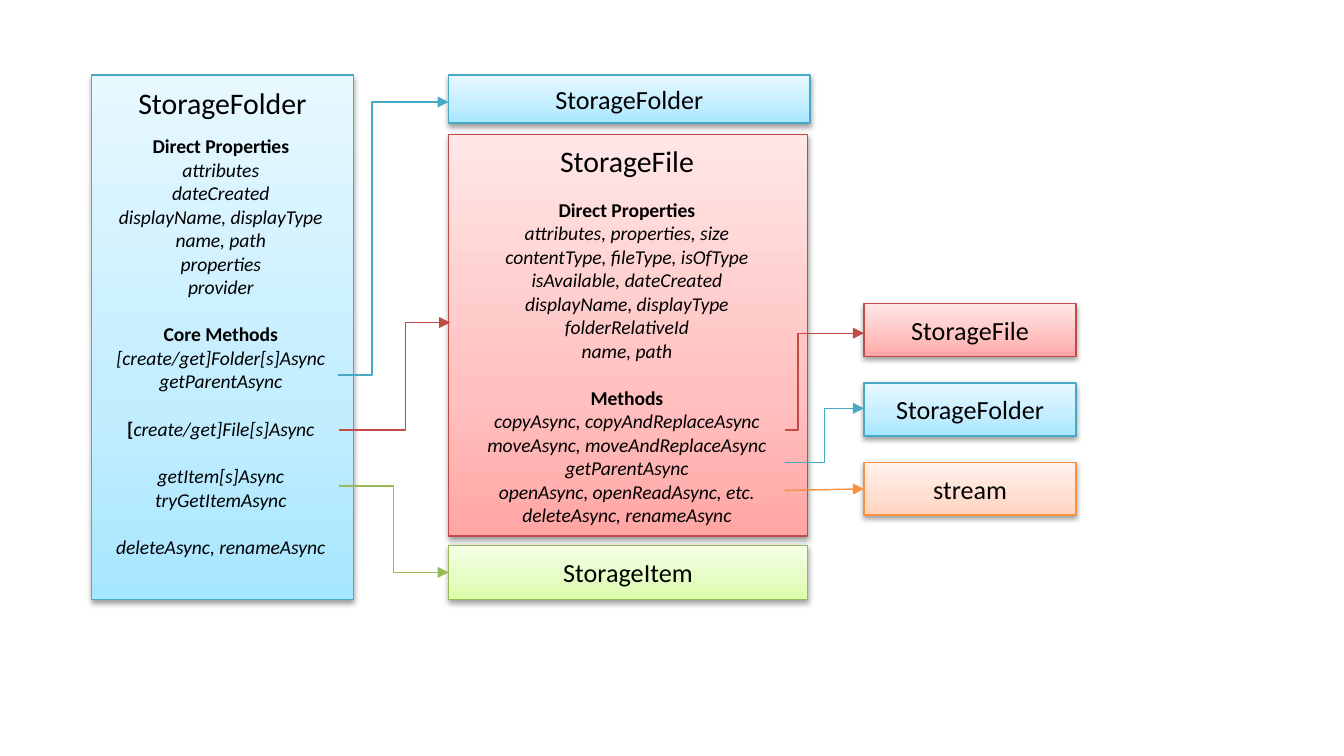
"""Build a slide that maps storage classes to the objects their methods return."""
from copy import deepcopy
from dataclasses import dataclass

from lxml import etree
from pptx import Presentation
from pptx import util as u
from pptx.dml import color
from pptx.enum import shapes, text
from pptx.oxml import ns


@dataclass(frozen=True)
class Palette:
    """Line colour and gradient colours from bottom to top."""
    line: str
    stops: tuple


@dataclass(frozen=True)
class Theme:
    """Colours, font and sizes used on the slide."""
    blue = Palette("46AAC5", ("A7E6FF", "C1EDFF", "E7F8FF"))
    red = Palette("BF4C48", ("FFA6A5", "FFC0BF", "FFE7E7"))
    green = Palette("98B955", ("DAFDA7", "E4FCC2", "F5FFE7"))
    orange = Palette("F69240", ("FFD2BD", "FFDED0", "FFF2ED"))
    ink = "000000"
    font = "Calibri"
    heading = 16
    label = 14
    body = 10.5
    gap = 12.8
    stroke = 0.75


@dataclass(frozen=True)
class Line:
    """One line of a listing: a bold lead, then italic text."""
    text: str = ""
    lead: str = ""
    gap: bool = False


THEME = Theme()

FOLDER_LINES = (
    Line(lead="Direct Properties"),
    Line("attributes"),
    Line("dateCreated"),
    Line("displayName, displayType"),
    Line("name, path"),
    Line("properties"),
    Line("provider"),
    Line(lead="Core Methods", gap=True),
    Line("[create/get]Folder[s]Async"),
    Line("getParentAsync"),
    Line("create/get]File[s]Async", lead="[", gap=True),
    Line("getItem[s]Async", gap=True),
    Line("tryGetItemAsync"),
    Line("deleteAsync, renameAsync", gap=True),
)

FILE_LINES = (
    Line(lead="Direct Properties"),
    Line("attributes, properties, size"),
    Line("contentType, fileType, isOfType"),
    Line("isAvailable, dateCreated"),
    Line("displayName, displayType"),
    Line("folderRelativeId"),
    Line("name, path"),
    Line(lead="Methods", gap=True),
    Line("copyAsync, copyAndReplaceAsync"),
    Line("moveAsync, moveAndReplaceAsync"),
    Line("getParentAsync"),
    Line("openAsync, openReadAsync, etc."),
    Line("deleteAsync, renameAsync"),
)


def format_run(run, size, bold=False, italic=False):
    """Apply the theme font to a run."""
    run.font.name = THEME.font
    run.font.size = u.Pt(size)
    run.font.bold = bold
    run.font.italic = italic
    run.font.color.rgb = color.RGBColor.from_string(THEME.ink)


def set_label(shape, label, size):
    """Write one centred line into a shape."""
    paragraph = shape.text_frame.paragraphs[0]
    paragraph.text = label
    paragraph.alignment = text.PP_ALIGN.CENTER
    format_run(paragraph.runs[0], size)


def style_line(line, palette):
    """Set line colour and width."""
    line.color.rgb = color.RGBColor.from_string(palette.line)
    line.width = u.Pt(THEME.stroke)


def fill_gradient(shape, palette):
    """Fill a shape with a three-stop vertical gradient."""
    shape.fill.gradient()
    shape.fill.gradient_angle = 90
    stop_list = shape._element.spPr.find(".//" + ns.qn("a:gsLst"))
    stop_list.insert(1, deepcopy(stop_list[0]))
    for stop, position, tone in zip(shape.fill.gradient_stops, (0, 0.35, 1), palette.stops):
        stop.position = position
        stop.color.rgb = color.RGBColor.from_string(tone)


def add_shadow(shape):
    """Give a shape a soft shadow below it."""
    shape.shadow.inherit = False
    effects = shape._element.spPr.find(ns.qn("a:effectLst"))
    shadow = etree.SubElement(effects, ns.qn("a:outerShdw"), blurRad=str(u.Pt(3.1)),
                              dist=str(u.Pt(1.6)), dir="5400000", rotWithShape="0")
    tone = etree.SubElement(shadow, ns.qn("a:srgbClr"), val=THEME.ink)
    etree.SubElement(tone, ns.qn("a:alpha"), val="38000")


def add_box(slide, palette, left, top, width, height, label=None):
    """Add a gradient rectangle with an optional label."""
    shape = slide.shapes.add_shape(shapes.MSO_SHAPE.RECTANGLE, u.Cm(left), u.Cm(top),
                                   u.Cm(width), u.Cm(height))
    fill_gradient(shape, palette)
    style_line(shape.line, palette)
    add_shadow(shape)
    if label:
        shape.text_frame.vertical_anchor = text.MSO_ANCHOR.MIDDLE
        set_label(shape, label, THEME.label)
    return shape


def add_text_box(slide, left, top, width, height):
    """Add an empty wrapping text box."""
    shape = slide.shapes.add_textbox(u.Cm(left), u.Cm(top), u.Cm(width), u.Cm(height))
    shape.text_frame.word_wrap = True
    return shape


def add_listing(slide, lines, left, top, width, height):
    """Add a centred listing of class members."""
    frame = add_text_box(slide, left, top, width, height).text_frame
    for index, line in enumerate(lines):
        paragraph = frame.add_paragraph() if index else frame.paragraphs[0]
        paragraph.alignment = text.PP_ALIGN.CENTER
        if line.gap:
            paragraph.space_before = u.Pt(THEME.gap)
        for words, bold in ((line.lead, True), (line.text, False)):
            if words:
                run = paragraph.add_run()
                run.text = words
                format_run(run, THEME.body, bold=bold, italic=not bold)


def add_arrow(slide, palette, start, end, bend=None):
    """Add an arrow, with an elbow at the given share of its width."""
    kind = shapes.MSO_CONNECTOR.STRAIGHT if bend is None else shapes.MSO_CONNECTOR.ELBOW
    arrow = slide.shapes.add_connector(kind, *map(u.Cm, start + end))
    style_line(arrow.line, palette)
    properties = arrow._element.spPr
    etree.SubElement(properties.find(ns.qn("a:ln")), ns.qn("a:tailEnd"), type="triangle")
    etree.SubElement(properties, ns.qn("a:effectLst"))
    if bend is not None:
        guides = properties.find(ns.qn("a:prstGeom")).get_or_add_avLst()
        etree.SubElement(guides, ns.qn("a:gd"), name="adj1", fmla=f"val {round(bend * 100000)}")
    return arrow


def main():
    """Build and save the slide."""
    presentation = Presentation()
    presentation.slide_width, presentation.slide_height = u.Cm(25.4), u.Cm(14.29)
    slide = presentation.slides.add_slide(presentation.slide_layouts[6])
    blue, red, green, orange = THEME.blue, THEME.red, THEME.green, THEME.orange

    add_box(slide, blue, 1.73, 1.42, 4.95, 9.91)
    set_label(add_text_box(slide, 1.73, 1.47, 4.95, 0.94), "StorageFolder", THEME.heading)
    add_listing(slide, FOLDER_LINES, 1.7, 2.41, 4.95, 8.33)

    add_box(slide, blue, 8.48, 1.42, 6.83, 0.91, "StorageFolder")
    add_box(slide, red, 8.48, 2.54, 6.78, 7.59)
    set_label(add_text_box(slide, 8.46, 2.57, 6.78, 0.97), "StorageFile", THEME.heading)
    add_listing(slide, FILE_LINES, 8.46, 3.61, 6.78, 6.78)
    add_box(slide, green, 8.48, 10.31, 6.78, 1.02, "StorageItem")

    results = ((red, "StorageFile"), (blue, "StorageFolder"), (orange, "stream"))
    for row, (palette, label) in enumerate(results):
        result = add_box(slide, palette, 16.33, 5.74 + 1.5 * row, 4.01, 1, label)

    add_arrow(slide, blue, (6.38, 7.09), (8.48, 1.93), 0.31)
    add_arrow(slide, red, (6.4, 8.13), (8.51, 6.1), 0.6)
    add_arrow(slide, green, (6.4, 9.19), (8.48, 10.82), 0.5)
    add_arrow(slide, red, (14.83, 8.13), (16.33, 6.3), 0.17)
    add_arrow(slide, blue, (14.83, 8.74), (16.33, 7.72), 0.5)
    add_arrow(slide, orange, (14.83, 9.27), (16.33, 9.22)).end_connect(result, 1)

    presentation.save("out.pptx")


if __name__ == "__main__":
    main()
